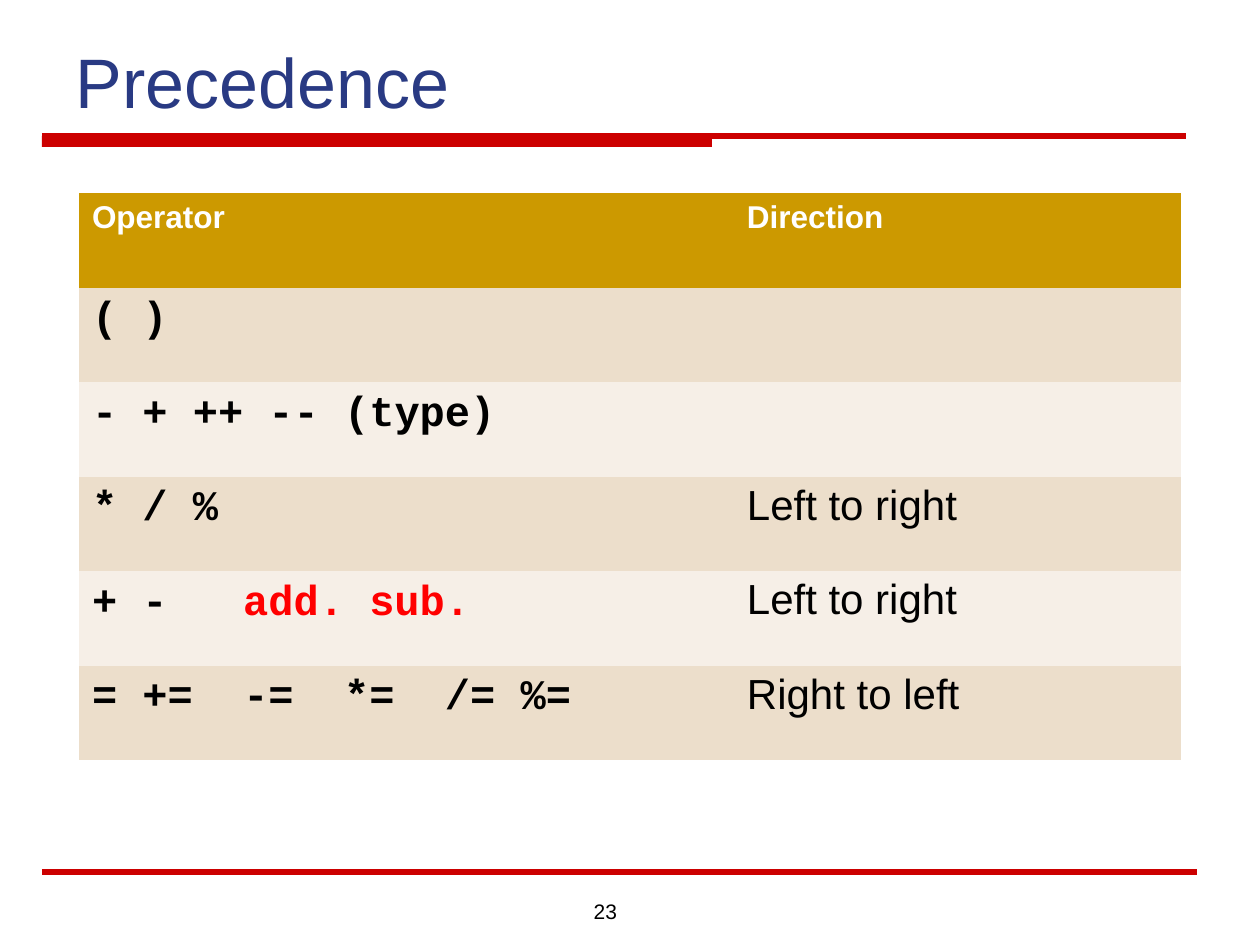
from lxml.etree import SubElement
from pptx import Presentation
from pptx.dml.color import RGBColor
from pptx.enum.shapes import MSO_CONNECTOR, MSO_SHAPE
from pptx.enum.text import MSO_ANCHOR, PP_ALIGN
from pptx.oxml.ns import qn
from pptx.util import Emu, Pt

RED = "CC0000"
BLACK = "000000"
BANDS = ["ECDECB", "F6EFE7"]
NO_STYLE = "{2D5ABB26-0587-4C30-8999-92F81FD0307C}"
HEADER = ["Operator", "Direction"]
OPERATORS = [
    (["( )"], ""),
    (["- + ++ -- (type)"], ""),
    (["* / %"], "Left to right"),
    (["+ -   ", "add. sub."], "Left to right"),
    (["= +=  -=  *=  /= %="], "Right to left"),
]


def px(n):
    return Emu(round(n * 914400 / 126))


def rgb(color):
    return RGBColor.from_string(color)


def style_run(r, size, color, name="Arial", bold=False):
    r.font.size = Pt(size)
    r.font.name = name
    r.font.bold = bold
    r.font.color.rgb = rgb(color)


def set_margins(tf, left, top, right, bottom):
    tf.margin_left, tf.margin_top = px(left), px(top)
    tf.margin_right, tf.margin_bottom = px(right), px(bottom)


def add_rule(s, x, y, w):
    line = s.shapes.add_connector(MSO_CONNECTOR.STRAIGHT, px(x), px(y), px(x + w), px(y))
    line.line.color.rgb = rgb(RED)
    line.line.width = Pt(3)
    SubElement(line._element.spPr, qn("a:effectLst"))


def add_title_rule(s, x, y, w, bar_w, bar_h):
    bar = s.shapes.add_shape(MSO_SHAPE.RECTANGLE, px(x), px(y), px(bar_w), px(bar_h))
    bar.shadow.inherit = False
    bar.fill.solid()
    bar.fill.fore_color.rgb = rgb(RED)
    bar.line.fill.background()
    add_rule(s, x, y, w)


def add_title(s, x, y, w, h):
    title = s.shapes.title
    title.left, title.top, title.width, title.height = px(x), px(y), px(w), px(h)
    tf = title.text_frame
    tf.text = "Precedence"
    tf.word_wrap = True
    tf.vertical_anchor = MSO_ANCHOR.BOTTOM
    set_margins(tf, 13, 6, 13, 6)
    p = tf.paragraphs[0]
    p.alignment = PP_ALIGN.LEFT
    style_run(p.runs[0], 40, "293A83")


def add_page_number(s, x, y, w, h):
    tf = s.shapes.add_textbox(px(x), px(y), px(w), px(h)).text_frame
    tf.text = "23"
    tf.word_wrap = True
    set_margins(tf, 13, 6, 13, 6)
    p = tf.paragraphs[0]
    p.alignment = PP_ALIGN.RIGHT
    style_run(p.runs[0], 12, BLACK)


def fill_cell(cell, fill, runs, spacing):
    cell.fill.solid()
    cell.fill.fore_color.rgb = rgb(fill)
    set_margins(cell, 13, 9, 13, 6)
    p = cell.text_frame.paragraphs[0]
    p.line_spacing = spacing
    for text, size, color, name, bold in runs:
        r = p.add_run()
        r.text = text
        style_run(r, size, color, name, bold)


def add_precedence_table(s, x, y, w, h, operator_w):
    frame = s.shapes.add_table(len(OPERATORS) + 1, 2, px(x), px(y), px(w), px(h))
    table = frame.table
    table._tbl.tblPr.find(qn("a:tableStyleId")).text = NO_STYLE
    table.columns[0].width = px(operator_w)
    table.columns[1].width = px(w - operator_w)
    for col, text in enumerate(HEADER):
        fill_cell(table.cell(0, col), "CC9900", [(text, 18, "FFFFFF", "Arial", True)], 0.93)
    for i, (operators, direction) in enumerate(OPERATORS):
        band = BANDS[i % 2]
        runs = [(text, 24, color, "Courier New", True)
                for text, color in zip(operators, [BLACK, "FF0000"])]
        fill_cell(table.cell(i + 1, 0), band, runs, 0.94)
        runs = [(direction, 24, BLACK, "Arial", False)] if direction else []
        fill_cell(table.cell(i + 1, 1), band, runs, 0.93)


def main():
    prs = Presentation()
    prs.slide_width, prs.slide_height = px(1260), px(945)
    s = prs.slides.add_slide(prs.slide_layouts[5])
    add_title_rule(s, 42, 136, 1144, 670, 11)
    add_rule(s, 42, 872, 1155)
    add_page_number(s, 546, 892, 84, 34)
    add_title(s, 63, 21, 1134, 108)
    add_precedence_table(s, 79, 193, 1102, 567, 655)
    prs.save("out.pptx")


if __name__ == "__main__":
    main()
